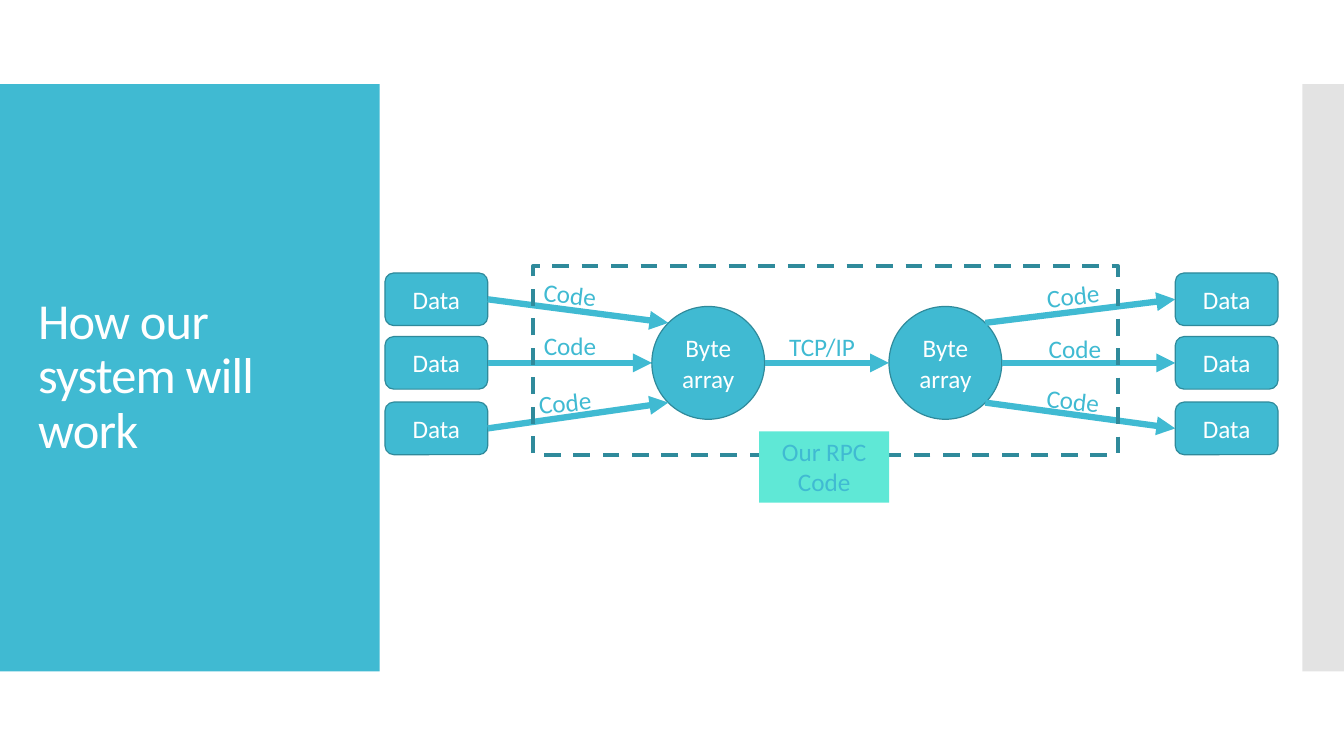
from lxml import etree
from pptx import Presentation
from pptx.dml.color import RGBColor
from pptx.enum.dml import MSO_LINE
from pptx.enum.shapes import MSO_CONNECTOR, MSO_SHAPE
from pptx.enum.text import MSO_ANCHOR, PP_ALIGN
from pptx.oxml.ns import qn
from pptx.util import Pt

TEAL = RGBColor(0x40, 0xBA, 0xD2)
DARK_TEAL = RGBColor(0x2F, 0x8A, 0x9B)
MINT = RGBColor(0x5F, 0xE8, 0xD6)
GRAY = RGBColor(0xC8, 0xC8, 0xC8)
WHITE = RGBColor(0xFF, 0xFF, 0xFF)

presentation = Presentation()
presentation.slide_width = Pt(960)
presentation.slide_height = Pt(540)
slide = presentation.slides.add_slide(presentation.slide_layouts[5])
shapes = slide.shapes


def add_box(kind, left, top, width, height, fill=None, line=None, weight=0.85):
    shape = shapes.add_shape(kind, Pt(left), Pt(top), Pt(width), Pt(height))
    shape.shadow.inherit = False
    if fill is None:
        shape.fill.background()
    else:
        shape.fill.solid()
        shape.fill.fore_color.rgb = fill
    if line is None:
        shape.line.fill.background()
    else:
        shape.line.color.rgb = line
        shape.line.width = Pt(weight)
    return shape


def write(shape, text, color, size=18, align=PP_ALIGN.CENTER, anchor=MSO_ANCHOR.MIDDLE):
    frame = shape.text_frame
    frame.word_wrap = True
    frame.vertical_anchor = anchor
    paragraph = frame.paragraphs[0]
    paragraph.alignment = align
    run = paragraph.add_run()
    run.text = text
    run.font.name = "Calibri"
    run.font.size = Pt(size)
    run.font.color.rgb = color
    return paragraph


title_panel = add_box(MSO_SHAPE.RECTANGLE, 0, 60, 271.2, 419.5, TEAL)
side_strip = add_box(MSO_SHAPE.RECTANGLE, 930.2, 60, 29.8, 419.5, GRAY)
strip_color = side_strip.fill._xPr.find(qn("a:solidFill"))[0]
etree.SubElement(strip_color, qn("a:alpha")).set("val", "50000")

title = shapes.title
title.left, title.top, title.width, title.height = Pt(20), Pt(88.5), Pt(232), Pt(362)
heading = write(title, "How our system will work", WHITE, 36, PP_ALIGN.LEFT)
heading.line_spacing = 0.9
heading.runs[0].font._element.set("spc", "-60")
shapes._spTree.append(title._element)

ROWS = [213.8, 259.2, 306]
CIRCLE_ROWS = [230.6, 259.2, 287.6]
DATA_WIDTH, DATA_HEIGHT = 73.4, 37.6
SENDER_LEFT, RECEIVER_LEFT = 275, 839.5
CIRCLE_SIZE = 80.6
SENDER_CIRCLE, RECEIVER_CIRCLE = 465.6, 635

for left in (SENDER_CIRCLE, RECEIVER_CIRCLE):
    circle = add_box(MSO_SHAPE.OVAL, left, ROWS[1] - CIRCLE_SIZE / 2,
                     CIRCLE_SIZE, CIRCLE_SIZE, TEAL, DARK_TEAL)
    write(circle, "Byte array", WHITE)

for left in (SENDER_LEFT, RECEIVER_LEFT):
    for middle in ROWS:
        data = add_box(MSO_SHAPE.ROUNDED_RECTANGLE, left, middle - DATA_HEIGHT / 2,
                       DATA_WIDTH, DATA_HEIGHT, TEAL, DARK_TEAL)
        write(data, "Data", WHITE)

arrows = [(SENDER_CIRCLE + CIRCLE_SIZE, ROWS[1], RECEIVER_CIRCLE, ROWS[1])]
for row, circle_row, inset in zip(ROWS, CIRCLE_ROWS, (11.8, 0, 11.8)):
    arrows.append((SENDER_LEFT + DATA_WIDTH, row, SENDER_CIRCLE + inset, circle_row))
    arrows.append((RECEIVER_CIRCLE + CIRCLE_SIZE - inset, circle_row, RECEIVER_LEFT, row))
for points in arrows:
    arrow = shapes.add_connector(MSO_CONNECTOR.STRAIGHT, *[Pt(value) for value in points])
    arrow.line.color.rgb = TEAL
    arrow.line.width = Pt(4.5)
    etree.SubElement(arrow.line._get_or_add_ln(), qn("a:tailEnd")).set("type", "triangle")
    etree.SubElement(arrow._element.spPr, qn("a:effectLst"))

frame_box = add_box(MSO_SHAPE.RECTANGLE, 380.9, 190, 417.6, 135.2, None, DARK_TEAL, 3)
frame_box.line.dash_style = MSO_LINE.DASH

LABELS = [
    ("Code", 360.7, 195.8, 6.4),
    ("Code", 360.7, 232.6, 0),
    ("Code", 357.1, 272.9, -6.1),
    ("TCP/IP", 540.7, 233.3, 0),
    ("Code", 720, 196.6, -6.1),
    ("Code", 721.4, 234.7, 0),
    ("Code", 720, 271.4, 6.4),
]
for text, left, top, angle in LABELS:
    label = shapes.add_textbox(Pt(left), Pt(top), Pt(92.9), Pt(29.1))
    label.rotation = angle
    write(label, text, TEAL, anchor=MSO_ANCHOR.TOP)

caption = add_box(MSO_SHAPE.RECTANGLE, 542.2, 308.2, 92.9, 50.9, MINT)
write(caption, "Our RPC Code", TEAL, anchor=MSO_ANCHOR.TOP)

presentation.save("out.pptx")
